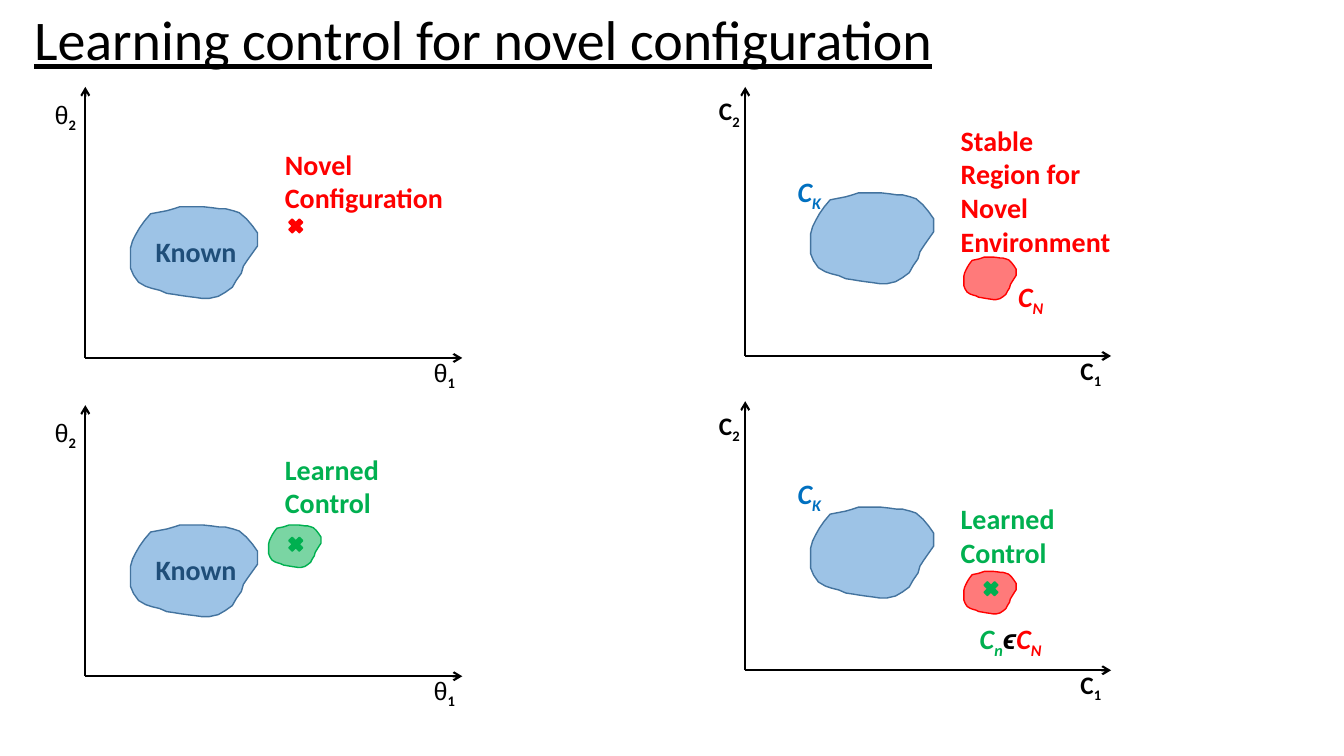
from dataclasses import dataclass

from lxml import etree
from pptx import Presentation
from pptx.dml.color import RGBColor
from pptx.enum.shapes import MSO_CONNECTOR as CONN, MSO_SHAPE as SHAPE
from pptx.oxml.ns import qn
from pptx.util import Cm, Pt

BLACK = RGBColor(0x00, 0x00, 0x00)
RED = RGBColor(0xFF, 0x00, 0x00)
GREEN = RGBColor(0x00, 0xB0, 0x50)
BLUE = RGBColor(0x00, 0x70, 0xC0)
NAVY = RGBColor(0x1F, 0x4E, 0x79)
REGION_FILL = RGBColor(0x9D, 0xC3, 0xE6)
REGION_LINE = RGBColor(0x43, 0x73, 0x9E)

# Region outline on a grid of 126 by 91 units
OUTLINE_W, OUTLINE_H = 126, 91
OUTLINE = [
    (36, 4), (20, 7), (14, 14), (9, 21), (5, 28), (2, 34), (0, 41), (0, 48),
    (0, 55), (0, 61), (3, 68), (8, 75), (15, 79), (21, 81), (29, 83), (36, 86),
    (43, 87), (49, 88), (56, 89), (64, 90), (71, 91), (78, 91), (87, 89),
    (94, 85), (101, 80), (105, 73), (110, 66), (112, 59), (116, 53), (121, 46),
    (126, 39), (126, 32), (126, 26), (121, 19), (115, 12), (108, 6), (102, 4),
    (94, 2), (88, 2), (81, 1), (72, 0), (64, 0), (56, 0), (49, 0), (43, 2),
]
SMALL = (1.32, 1.07)


@dataclass
class Span:
    text: str
    color: RGBColor = BLACK
    sub: bool = False
    font: str = "Calibri"
    bold: bool = True


@dataclass
class Panel:
    """Plot whose axes meet at (x, y); its contents are placed from there."""
    slide: object
    x: float
    y: float

    def at(self, dx, dy):
        return self.x + dx, self.y + dy


def add_text(slide, pos, size, paragraphs, pt=20, italic=False, underline=False):
    """Write one paragraph per list of spans."""
    tf = slide.shapes.add_textbox(*map(Cm, pos + size)).text_frame
    tf.word_wrap = True
    for i, spans in enumerate(paragraphs):
        p = tf.paragraphs[0] if i == 0 else tf.add_paragraph()
        p.font.size, p.font.italic, p.font.underline = Pt(pt), italic, underline
        for span in spans:
            r = p.add_run()
            r.text = span.text
            r.font.name, r.font.bold = span.font, span.bold
            r.font.color.rgb = span.color
            if span.sub:
                r._r.get_or_add_rPr().set("baseline", "-25000")


def add_note(panel, offset, size, color, *lines):
    add_text(panel.slide, panel.at(*offset), size,
             [[Span(line, color)] for line in lines])


def add_symbol(panel, offset, width, *spans):
    add_text(panel.slide, panel.at(*offset), (width, 1.12), [spans], italic=True)


def paint(sp, fill, line, alpha=None):
    sp.shadow.inherit = False
    sp.fill.solid()
    sp.fill.fore_color.rgb = fill
    sp.line.color.rgb = line
    sp.line.width = Pt(1)
    if alpha:
        color = sp._element.spPr.find(qn("a:solidFill"))[0]
        etree.SubElement(color, qn("a:alpha")).set("val", str(alpha * 1000))


def add_region(panel, offset, size, fill, line, alpha=None):
    scale = (Cm(size[0]) / OUTLINE_W, Cm(size[1]) / OUTLINE_H)
    builder = panel.slide.shapes.build_freeform(*OUTLINE[0], scale=scale)
    builder.add_line_segments(OUTLINE[1:], close=True)
    paint(builder.convert_to_shape(*map(Cm, panel.at(*offset))), fill, line, alpha)


def add_cross(panel, offset, color):
    x, y = panel.at(*offset)
    sp = panel.slide.shapes.add_shape(
        SHAPE.MATH_MULTIPLY, Cm(x), Cm(y), Cm(0.51), Cm(0.51))
    paint(sp, color, color)


def add_axis(panel, dx, dy):
    ends = (panel.x, panel.y) + panel.at(dx, dy)
    line = panel.slide.shapes.add_connector(CONN.STRAIGHT, *map(Cm, ends))
    line.line.color.rgb = BLACK
    line.line.width = Pt(1.5)
    ln = line.line._get_or_add_ln()
    etree.SubElement(ln, qn("a:tailEnd")).set("type", "arrow")
    etree.SubElement(line._element.spPr, qn("a:effectLst"))


def add_axes(panel, width, height, letter, first_at, second_at):
    """Draw both axes, with the letter and its index at each end."""
    add_axis(panel, 0, -height)
    add_axis(panel, width, 0)
    for index, offset in (("2", second_at), ("1", first_at)):
        add_text(panel.slide, panel.at(*offset), (1.3, 1.02),
                 [[letter, Span(index, sub=True)]], pt=18)


def add_angle_panel(slide, y):
    panel = Panel(slide, 2.15, y)
    add_axes(panel, 9.5, 6.83, Span("θ", font="Arial", bold=False),
             (8.53, -0.15), (-1.02, -6.65))
    add_region(panel, (1.14, -3.81), (3.2, 2.31), REGION_FILL, REGION_LINE)
    add_note(panel, (1.52, -3.23), (2.82, 1.12), NAVY, "Known")
    return panel


def add_control_panel(slide, y, known_dy):
    panel = Panel(slide, 18.78, y)
    add_axes(panel, 9.22, 6.78, Span("C"), (8.2, -0.15), (-0.91, -6.68))
    add_region(panel, (1.65, -4.11), (3.1, 2.29), REGION_FILL, REGION_LINE)
    add_region(panel, (5.51, -2.49), SMALL, RED, RED, alpha=52)
    add_symbol(panel, (1.07, known_dy), 1.17, Span("C", BLUE), Span("K", BLUE, sub=True))
    return panel


def main():
    prs = Presentation()
    prs.slide_width, prs.slide_height = Cm(33.87), Cm(19.05)
    slide = prs.slides.add_slide(prs.slide_layouts[6])
    add_text(slide, (0.61, 0), (26.21, 1.96),
             [[Span("Learning control for novel configuration", bold=False)]],
             pt=40, underline=True)

    novel = add_angle_panel(slide, 9.02)
    add_cross(novel, (5.05, -3.58), RED)
    add_note(novel, (4.78, -5.44), (4.7, 1.96), RED, "Novel Configuration")

    learned = add_angle_panel(slide, 17.04)
    add_cross(learned, (5.05, -3.58), GREEN)
    add_note(learned, (4.78, -5.77), (4.47, 1.96), GREEN, "Learned", "Control")
    add_region(learned, (4.62, -3.81), SMALL, GREEN, GREEN, alpha=52)

    stable = add_control_panel(slide, 8.97, -4.7)
    add_note(stable, (5.18, -5.99), (4.34, 3.68), RED,
             "Stable", "Region for Novel Environment")
    add_symbol(stable, (6.63, -2.06), 1.3, Span("C", RED), Span("N", RED, sub=True))

    chosen = add_control_panel(slide, 16.89, -5)
    add_note(chosen, (5.18, -4.37), (4.34, 1.96), GREEN, "Learned Control")
    add_cross(chosen, (5.94, -2.31), GREEN)
    add_symbol(chosen, (5.66, -1.35), 2.4,
               Span("C", GREEN), Span("n", GREEN, sub=True),
               Span("ϵ", font="Arial"),
               Span("C", RED), Span("N", RED, sub=True))

    prs.save("out.pptx")


if __name__ == "__main__":
    main()
